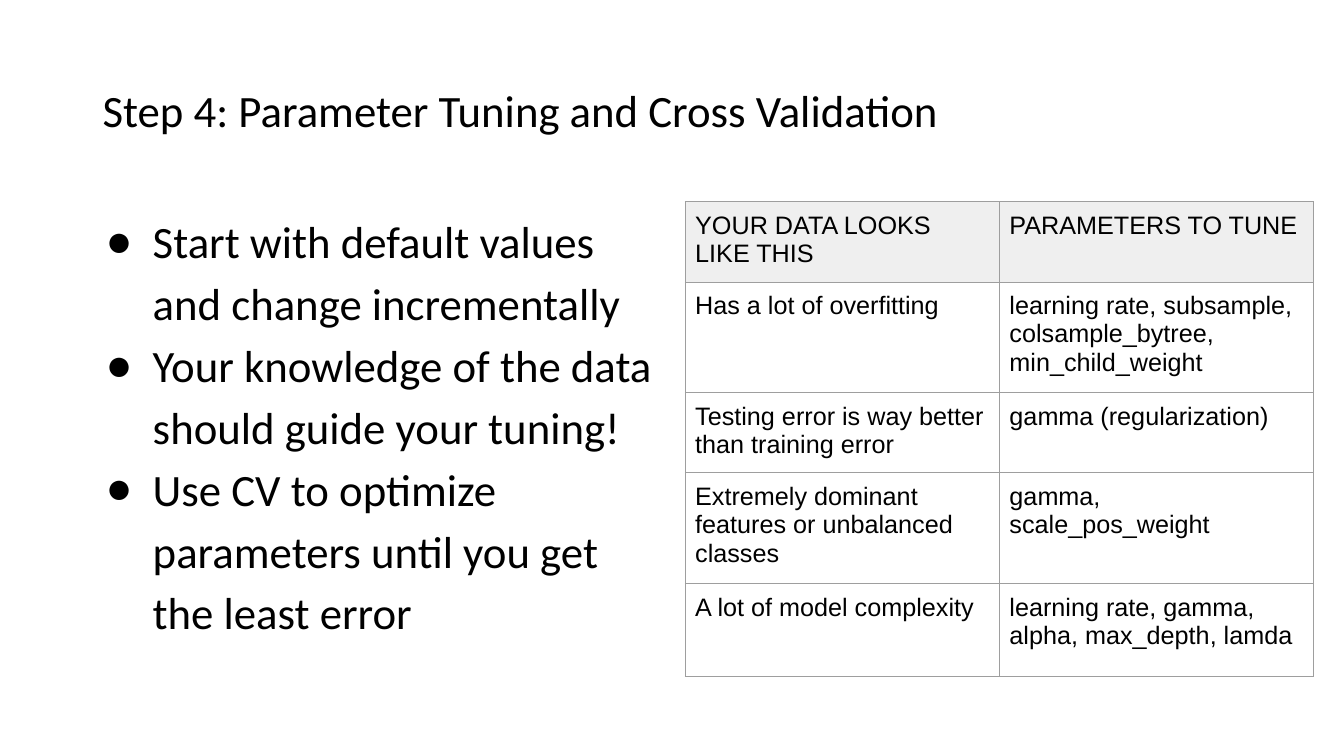
import dataclasses

import pptx
import pptx.dml.color
import pptx.enum.text
import pptx.oxml
import pptx.oxml.ns
import pptx.util
from pptx.util import Cm


@dataclasses.dataclass
class Theme:
    text: str = "000000"
    header: str = "EFEFEF"
    border: str = "9E9E9E"
    font: str = "Calibri"
    table_font: str = "Arial"
    large: int = 32
    small: int = 18
    rule: float = 0.75


class Deck:
    def __init__(self, theme):
        self.theme = theme
        self.prs = pptx.Presentation()
        self.prs.slide_width, self.prs.slide_height = Cm(33.87), Cm(19.05)
        self.s = self.prs.slides.add_slide(self.prs.slide_layouts[5])

    def style(self, p, font, size):
        for r in p.runs:
            r.font.name = font
            r.font.size = pptx.util.Pt(size)
            r.font.color.rgb = pptx.dml.color.RGBColor.from_string(self.theme.text)

    def title(self, text, left, top, width, height):
        sp = self.s.shapes.title
        sp.left, sp.top, sp.width, sp.height = left, top, width, height
        tf = sp.text_frame
        tf.text = text
        tf.vertical_anchor = pptx.enum.text.MSO_ANCHOR.MIDDLE
        p = tf.paragraphs[0]
        p.alignment = pptx.enum.text.PP_ALIGN.LEFT
        p.line_spacing = 0.9
        self.style(p, self.theme.font, self.theme.large)

    def bullets(self, items, left, top, width, height):
        tf = self.s.shapes.add_textbox(left, top, width, height).text_frame
        tf.word_wrap = True
        tf.text = "\n".join(items)
        tf.paragraphs[0].space_before = pptx.util.Pt(10)
        for p in tf.paragraphs:
            p.line_spacing = 1.15
            self.style(p, self.theme.font, self.theme.large)
            pPr = p._p.get_or_add_pPr()
            pPr.set("marL", str(Cm(1.27)))
            pPr.set("indent", str(-Cm(1.19)))
            for xml in (f'<a:buFont {NS} typeface="{self.theme.table_font}"/>',
                        f'<a:buChar {NS} char="●"/>'):
                pPr.append(pptx.oxml.parse_xml(xml))

    def table(self, rows, heights, left, top, width):
        t = self.s.shapes.add_table(
            len(rows), len(rows[0]), left, top, width, sum(heights)).table
        t.horz_banding = False
        for i, (row, height) in enumerate(zip(rows, heights)):
            t.rows[i].height = height
            for j, text in enumerate(row):
                self.cell(t.cell(i, j), text, is_header=i == 0)

    def cell(self, cell, text, is_header):
        cell.text = text
        cell.margin_left = cell.margin_right = Cm(0.25)
        cell.margin_top = cell.margin_bottom = Cm(0.25)
        p = cell.text_frame.paragraphs[0]
        self.style(p, self.theme.table_font, self.theme.small)
        p.runs[0].font.bold = False
        # Borders come before the fill in the cell properties
        tcPr = cell._tc.get_or_add_tcPr()
        for side in ("lnL", "lnR", "lnT", "lnB"):
            tcPr.append(pptx.oxml.parse_xml(
                f'<a:{side} {NS} w="{pptx.util.Pt(self.theme.rule)}"><a:solidFill>'
                f'<a:srgbClr val="{self.theme.border}"/></a:solidFill></a:{side}>'))
        if is_header:
            cell.fill.solid()
            cell.fill.fore_color.rgb = pptx.dml.color.RGBColor.from_string(
                self.theme.header)
        else:
            cell.fill.background()


NS = pptx.oxml.ns.nsdecls("a")

BULLETS = [
    "Start with default values and change incrementally",
    "Your knowledge of the data should guide your tuning!",
    "Use CV to optimize parameters until you get the least error",
]
TUNING_ROWS = [
    ("YOUR DATA LOOKS LIKE THIS", "PARAMETERS TO TUNE"),
    ("Has a lot of overfitting",
     "learning rate, subsample, colsample_bytree, min_child_weight"),
    ("Testing error is way better than training error", "gamma (regularization)"),
    ("Extremely dominant features or unbalanced classes", "gamma, scale_pos_weight"),
    ("A lot of model complexity", "learning rate, gamma, alpha, max_depth, lamda"),
]
ROW_HEIGHTS = [Cm(h) for h in (1.9, 2.64, 1.94, 2.62, 2.34)]


def main():
    deck = Deck(Theme())
    # Heading
    deck.title("Step 4: Parameter Tuning and Cross Validation",
               Cm(2.33), Cm(1.01), Cm(29.21), Cm(3.68))
    # Advice on the left
    deck.bullets(BULLETS, Cm(2.33), Cm(5.07), Cm(14.4), Cm(13.08))
    # Tuning guide on the right
    deck.table(TUNING_ROWS, ROW_HEIGHTS, Cm(17.27), Cm(5.08), Cm(15.84))
    deck.prs.save("out.pptx")


if __name__ == "__main__":
    main()
